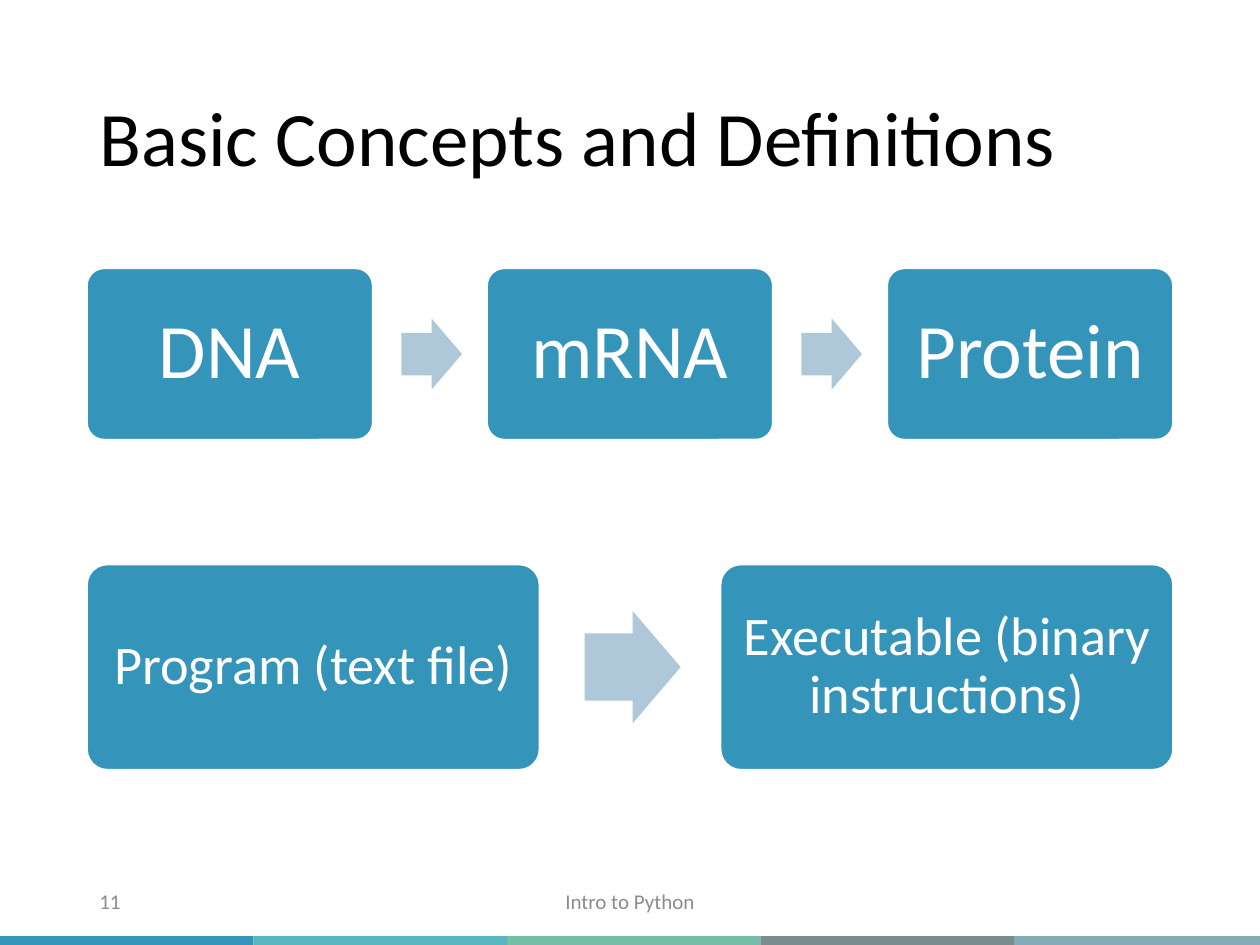
from pptx import Presentation
from pptx.dml.color import RGBColor
from pptx.enum.shapes import MSO_SHAPE
from pptx.enum.text import MSO_ANCHOR, PP_ALIGN
from pptx.util import Inches, Pt

RECTANGLE = MSO_SHAPE.RECTANGLE
ROUNDED_RECTANGLE = MSO_SHAPE.ROUNDED_RECTANGLE
RIGHT_ARROW = MSO_SHAPE.RIGHT_ARROW
MIDDLE = MSO_ANCHOR.MIDDLE
LEFT = PP_ALIGN.LEFT
CENTER = PP_ALIGN.CENTER

FONT = "Calibri"
BLUE = "3494BA"
PALE_BLUE = "AEC8D9"
WHITE = "FFFFFF"
BLACK = "000000"
GRAY = "8C8C8C"
STRIP_COLORS = [BLUE, "58B6C0", "75BDA7", "7A8C8E", "84ACB6"]

GAP_RATIO = 0.4
ARROW_OFFSET_RATIO = 0.1
ARROW_WIDTH_RATIO = 0.212
ARROW_HEIGHT_RATIO = 0.248


def color(value):
    return RGBColor.from_string(value)


def write_text(shape, text, size, font_color, align=LEFT, line_spacing=1.0, margin=None):
    frame = shape.text_frame
    frame.word_wrap = True
    frame.vertical_anchor = MIDDLE
    if margin is not None:
        frame.margin_left = frame.margin_right = Inches(margin)
        frame.margin_top = frame.margin_bottom = Inches(margin)
    paragraph = frame.paragraphs[0]
    paragraph.alignment = align
    paragraph.line_spacing = line_spacing
    run = paragraph.add_run()
    run.text = text
    run.font.name = FONT
    run.font.size = Pt(size)
    run.font.color.rgb = color(font_color)


def add_label(slide, left, top, width, height, text, **text_format):
    box = slide.shapes.add_textbox(Inches(left), Inches(top), Inches(width), Inches(height))
    write_text(box, text, **text_format)


def add_block(slide, kind, left, top, width, height, fill, adjustments=(), line=None):
    shape = slide.shapes.add_shape(
        kind, Inches(left), Inches(top), Inches(width), Inches(height)
    )
    shape.shadow.inherit = False
    shape.fill.solid()
    shape.fill.fore_color.rgb = color(fill)
    if line:
        shape.line.color.rgb = color(line)
        shape.line.width = Pt(1)
    else:
        shape.line.fill.background()
    for index, value in enumerate(adjustments):
        shape.adjustments[index] = value
    return shape


def add_color_strip(slide, left, top, width, height):
    bar_width = width / len(STRIP_COLORS)
    for index, fill in enumerate(STRIP_COLORS):
        add_block(slide, RECTANGLE, left + index * bar_width, top, bar_width, height, fill)


def add_flow(slide, left, top, width, height, steps, size, margin):
    step_width = width / (len(steps) + GAP_RATIO * (len(steps) - 1))
    pitch = step_width * (1 + GAP_RATIO)
    arrow_height = step_width * ARROW_HEIGHT_RATIO
    for index, text in enumerate(steps):
        step_left = left + index * pitch
        if index:
            add_block(
                slide,
                RIGHT_ARROW,
                step_left - step_width * (GAP_RATIO - ARROW_OFFSET_RATIO),
                top + (height - arrow_height) / 2,
                step_width * ARROW_WIDTH_RATIO,
                arrow_height,
                PALE_BLUE,
                adjustments=(0.6, 0.5),
            )
        step = add_block(
            slide, ROUNDED_RECTANGLE, step_left, top, step_width, height, BLUE,
            adjustments=(0.1,), line=WHITE,
        )
        write_text(step, text, size, WHITE, align=CENTER, line_spacing=0.9, margin=margin)


def add_footer(slide, left, top, width, height):
    center_width = 3.38
    add_label(slide, left + (width - center_width) / 2, top, center_width, height,
              "Intro to Python", size=12, font_color=GRAY, align=CENTER)
    add_label(slide, left, top, 2.25, height, "11", size=12, font_color=GRAY)


def main():
    presentation = Presentation()
    presentation.slide_width = Inches(10)
    presentation.slide_height = Inches(7.5)
    slide = presentation.slides.add_slide(presentation.slide_layouts[6])

    left, width = 0.69, 8.62
    add_color_strip(slide, 0, 7.43, 10.06, 0.1)
    add_label(slide, left, 0.4, width, 1.45, "Basic Concepts and Definitions",
              size=44, font_color=BLACK, line_spacing=0.9)
    add_flow(slide, left, 2.13, width, 1.36, ["DNA", "mRNA", "Protein"], 44, 0.18)
    add_flow(slide, left, 4.48, width, 1.63,
             ["Program (text file)", "Executable (binary instructions)"], 31, 0.13)
    add_footer(slide, left, 6.95, width, 0.4)

    presentation.save("out.pptx")


if __name__ == "__main__":
    main()
